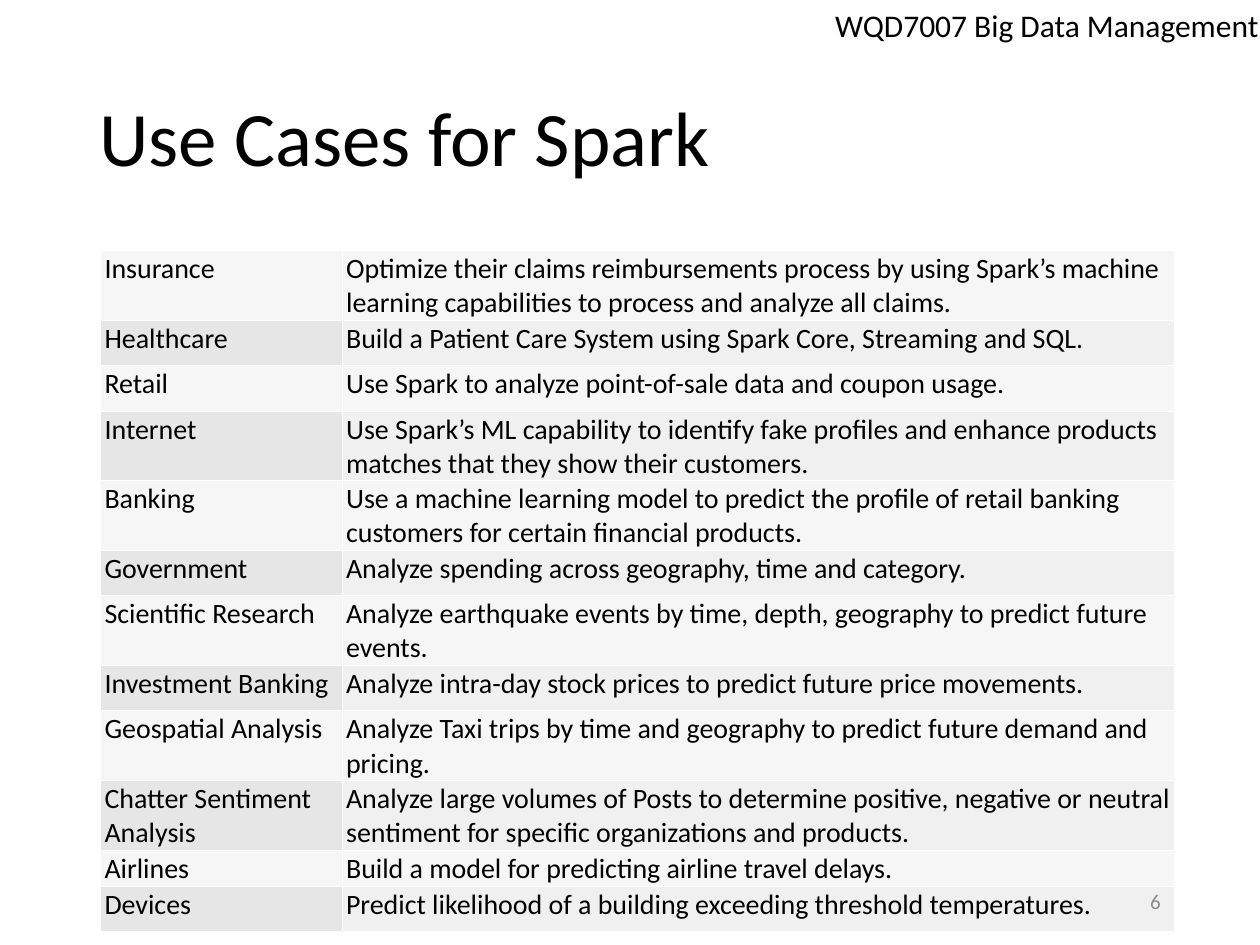
from collections import namedtuple

from lxml import etree
from pptx import Presentation
from pptx.dml.color import RGBColor
from pptx.enum.text import MSO_ANCHOR, PP_ALIGN
from pptx.oxml.ns import qn
from pptx.util import Inches, Pt

TOP, MIDDLE = MSO_ANCHOR.TOP, MSO_ANCHOR.MIDDLE
LEFT, RIGHT = PP_ALIGN.LEFT, PP_ALIGN.RIGHT
FONT = "Calibri"
WIDTH, HEIGHT = Inches(10), Inches(7.5)
COLORS = {
    "text": "000000",
    "number": "8C8C8C",
    "border": "FFFFFF",
    "odd": "F6F6F6",
    "even_label": "E6E6E6",
    "even_detail": "F0F0F0",
}
BORDER_SIDES = ("a:lnL", "a:lnR", "a:lnT", "a:lnB")
COLUMN_SHARES = (0.225, 0.775)
SINGLE, DOUBLE, TIGHT = Inches(0.36), Inches(0.52), Inches(0.19)
USE_CASES = [
    ("Insurance", "Optimize their claims reimbursements process by using Spark’s machine "
     "learning capabilities to process and analyze all claims.", DOUBLE),
    ("Healthcare", "Build a Patient Care System using Spark Core, Streaming and SQL.", SINGLE),
    ("Retail", "Use Spark to analyze point-of-sale data and coupon usage.", SINGLE),
    ("Internet", "Use Spark’s ML capability to identify fake profiles and enhance products "
     "matches that they show their customers.", DOUBLE),
    ("Banking", "Use a machine learning model to predict the profile of retail banking "
     "customers for certain financial products.", DOUBLE),
    ("Government", "Analyze spending across geography, time and category.", SINGLE),
    ("Scientific Research", "Analyze earthquake events by time, depth, geography to predict "
     "future events.", SINGLE),
    ("Investment Banking", "Analyze intra-day stock prices to predict future price movements.",
     SINGLE),
    ("Geospatial Analysis", "Analyze Taxi trips by time and geography to predict future demand "
     "and pricing.", SINGLE),
    ("Chatter Sentiment Analysis", "Analyze large volumes of Posts to determine positive, "
     "negative or neutral sentiment for specific organizations and products.", DOUBLE),
    ("Airlines", "Build a model for predicting airline travel delays.", TIGHT),
    ("Devices", "Predict likelihood of a building exceeding threshold temperatures.", SINGLE),
]

Box = namedtuple("Box", "left top width height")


def share_box(left, top, width, height):
    """Return a box from percentages of the slide's width and height."""
    return Box(int(WIDTH * left / 100), int(HEIGHT * top / 100),
               int(WIDTH * width / 100), int(HEIGHT * height / 100))


def add_span(para, text, size, color):
    """Add one styled run to a paragraph."""
    span = para.add_run()
    span.text = text
    span.font.name = FONT
    span.font.size = Pt(size)
    span.font.color.rgb = RGBColor.from_string(COLORS[color])


def add_label(page, box, text, size, color="text", anchor=MIDDLE, align=LEFT,
              wrap=True, spacing=1.0):
    """Place a single line of text in the given box."""
    frame = page.shapes.add_textbox(*box).text_frame
    frame.word_wrap = wrap
    frame.vertical_anchor = anchor
    para = frame.paragraphs[0]
    para.alignment = align
    para.line_spacing = spacing
    add_span(para, text, size, color)


def add_borders(cell):
    """Draw a thin line on every side of a table cell."""
    properties = cell._tc.get_or_add_tcPr()
    for side in BORDER_SIDES:
        line = etree.SubElement(properties, qn(side), w=str(Pt(0.75)))
        fill = etree.SubElement(line, qn("a:solidFill"))
        etree.SubElement(fill, qn("a:srgbClr"), val=COLORS["border"])


def fill_cell(cell, text, color):
    """Write and style one table cell."""
    add_borders(cell)
    cell.fill.solid()
    cell.fill.fore_color.rgb = RGBColor.from_string(COLORS[color])
    cell.margin_left = cell.margin_right = Inches(0.03)
    cell.margin_top = cell.margin_bottom = Inches(0.01)
    add_span(cell.text_frame.paragraphs[0], text, 16, "text")


def add_use_cases(page, box):
    """Build the banded table of use cases in the given box."""
    table = page.shapes.add_table(len(USE_CASES), len(COLUMN_SHARES), *box).table
    table.first_row = False
    table.horz_banding = False
    for column, share in zip(table.columns, COLUMN_SHARES):
        column.width = int(box.width * share)
    for index, (sector, detail, height) in enumerate(USE_CASES):
        table.rows[index].height = height
        bands = ("even_label", "even_detail") if index % 2 else ("odd", "odd")
        for cell, text, color in zip(table.rows[index].cells, (sector, detail), bands):
            fill_cell(cell, text, color)


def main():
    """Assemble the slide and save the deck."""
    deck = Presentation()
    deck.slide_width, deck.slide_height = WIDTH, HEIGHT
    page = deck.slides.add_slide(deck.slide_layouts[6])
    add_label(page, share_box(6.9, 5.33, 86.2, 19.33), "Use Cases for Spark", 44, spacing=0.9)
    add_use_cases(page, share_box(8, 26.53, 85.2, 72))
    add_label(page, share_box(70.6, 92.67, 22.5, 5.33), "6", 12, "number", align=RIGHT)
    add_label(page, share_box(65.3, 0, 36, 5.33), "WQD7007 Big Data Management", 18,
              anchor=TOP, wrap=False)
    deck.save("out.pptx")


if __name__ == "__main__":
    main()
